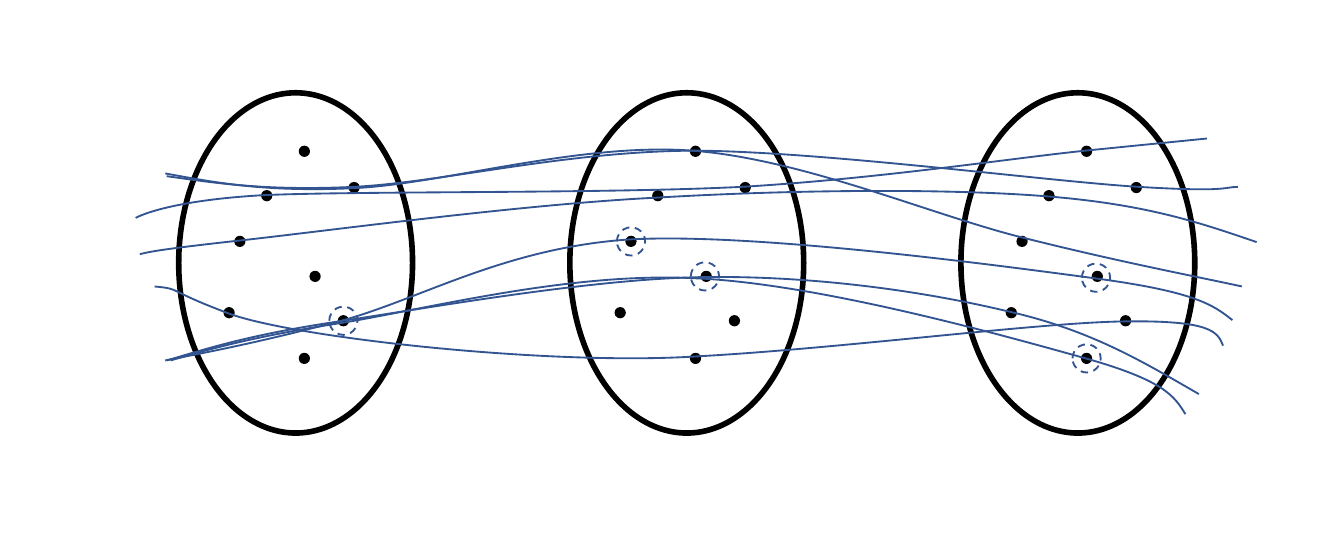
"""Draw three point sets joined by smooth trajectories, some points circled."""
from dataclasses import dataclass
from typing import Optional

from lxml.etree import SubElement
from pptx import Presentation
from pptx.dml.color import RGBColor
from pptx.enum.dml import MSO_LINE_DASH_STYLE as Dash
from pptx.enum.shapes import MSO_AUTO_SHAPE_TYPE as ShapeType
from pptx.oxml.ns import qn
from pptx.shapes.shapetree import GroupShapes
from pptx.util import Inches, Pt

BLACK = RGBColor(0x00, 0x00, 0x00)
WHITE = RGBColor(0xFF, 0xFF, 0xFF)
BLUE = RGBColor(0x32, 0x54, 0x91)

Point = tuple[float, float]


@dataclass(frozen=True)
class EllipseStyle:
    width: float
    height: float
    line: RGBColor
    weight: float
    fill: Optional[RGBColor] = None
    dash: Optional[Dash] = None


@dataclass(frozen=True)
class Trajectory:
    start: Point
    bezier_points: list[Point]


SET_OUTLINE = EllipseStyle(1.74, 2.53, BLACK, 3, WHITE)
DOT = EllipseStyle(0.07, 0.07, BLACK, 1, BLACK)
MARKER = EllipseStyle(0.21, 0.21, BLUE, 1, dash=Dash.DASH)

SET_COUNT = 3
SET_STEP = 2.91
SET_LEFT, SET_TOP = 1.33, 0.69
DOT_OFFSETS = [(0.62, 0.73), (0.42, 1.07), (0.9, 0.4), (1.27, 0.67),
               (0.98, 1.33), (1.19, 1.66), (0.9, 1.94), (0.34, 1.6)]
MARKERS = [(5.14, 1.95), (2.45, 2.28), (4.59, 1.69), (8.05, 1.96), (7.98, 2.56)]

TRAJECTORIES = [
    Trajectory((8.98, 1.03), [(8.68, 1.06), (8.38, 1.09), (8.08, 1.12),
                              (7.5, 1.18), (6.53, 1.33), (5.51, 1.39),
                              (4.49, 1.44), (2.73, 1.42), (1.98, 1.45),
                              (1.23, 1.49), (1.01, 1.62), (1.01, 1.62)]),
    Trajectory((9.35, 1.8), [(8.94, 1.66), (8.54, 1.52), (7.79, 1.46),
                             (7.05, 1.4), (5.89, 1.41), (4.88, 1.47),
                             (3.88, 1.52), (2.41, 1.72), (1.77, 1.79),
                             (1.13, 1.86), (1.08, 1.88), (1.04, 1.89)]),
    Trajectory((9.21, 1.39), [(9.1, 1.39), (9.15, 1.43), (8.48, 1.39),
                              (7.81, 1.35), (6.16, 1.13), (5.19, 1.12),
                              (4.21, 1.12), (3.28, 1.36), (2.62, 1.39),
                              (1.97, 1.42), (1.6, 1.36), (1.24, 1.31)]),
    Trajectory((9.24, 2.13), [(8.77, 2.03), (8.3, 1.94), (7.62, 1.77),
                              (6.93, 1.6), (5.97, 1.18), (5.14, 1.12),
                              (4.31, 1.06), (3.29, 1.37), (2.63, 1.4),
                              (1.98, 1.43), (1.61, 1.36), (1.23, 1.29)]),
    Trajectory((9.17, 2.38), [(9.03, 2.27), (8.9, 2.17), (8.15, 2.07),
                              (7.4, 1.97), (5.62, 1.73), (4.69, 1.78),
                              (3.75, 1.84), (3.1, 2.24), (2.52, 2.39),
                              (1.95, 2.54), (1.59, 2.61), (1.23, 2.68)]),
    Trajectory((8.92, 2.93), [(8.52, 2.7), (8.13, 2.46), (7.52, 2.32),
                              (6.9, 2.17), (6.08, 2.05), (5.25, 2.06),
                              (4.41, 2.07), (3.19, 2.29), (2.52, 2.39),
                              (1.85, 2.49), (1.55, 2.59), (1.24, 2.68)]),
    Trajectory((8.82, 3.08), [(8.74, 2.95), (8.67, 2.83), (8.06, 2.66),
                              (7.45, 2.49), (6.09, 2.11), (5.18, 2.07),
                              (4.26, 2.02), (3.21, 2.29), (2.55, 2.4),
                              (1.9, 2.5), (1.58, 2.59), (1.27, 2.68)]),
    Trajectory((9.1, 2.57), [(9.06, 2.47), (9.02, 2.38), (8.36, 2.39),
                             (7.71, 2.4), (6.28, 2.59), (5.18, 2.65),
                             (4.08, 2.72), (2.18, 2.51), (1.7, 2.33),
                             (1.22, 2.15), (1.36, 2.15), (1.15, 2.13)]),
]


def add_ellipse(shapes: GroupShapes, left: float, top: float, style: EllipseStyle) -> None:
    shape = shapes.add_shape(ShapeType.OVAL, Inches(left), Inches(top),
                             Inches(style.width), Inches(style.height))
    shape.shadow.inherit = False
    if style.fill is None:
        shape.fill.background()
    else:
        shape.fill.solid()
        shape.fill.fore_color.rgb = style.fill
    shape.line.color.rgb = style.line
    shape.line.width = Pt(style.weight)
    if style.dash is not None:
        shape.line.dash_style = style.dash


def add_trajectory(shapes: GroupShapes, trajectory: Trajectory) -> None:
    start_x, start_y = trajectory.start
    builder = shapes.build_freeform(Inches(start_x), Inches(start_y))
    builder.add_line_segments([(Inches(x), Inches(y)) for x, y in trajectory.bezier_points],
                              close=False)
    shape = builder.convert_to_shape()
    shape.shadow.inherit = False
    shape.fill.background()
    shape.line.color.rgb = BLUE
    shape.line.width = Pt(1)

    outline = shape.element.find(".//" + qn("a:path"))
    segments = outline.findall(qn("a:lnTo"))
    for first in range(0, len(segments), 3):
        curve = SubElement(outline, qn("a:cubicBezTo"))
        for segment in segments[first:first + 3]:
            curve.append(segment[0])
            outline.remove(segment)


def main() -> None:
    presentation = Presentation()
    presentation.slide_width = Inches(10)
    presentation.slide_height = Inches(4)
    slide = presentation.slides.add_slide(presentation.slide_layouts[6])
    shapes = slide.shapes.add_group_shape().shapes

    for index in range(SET_COUNT):
        left = SET_LEFT + index * SET_STEP
        add_ellipse(shapes, left, SET_TOP, SET_OUTLINE)
        for dx, dy in DOT_OFFSETS:
            add_ellipse(shapes, left + dx, SET_TOP + dy, DOT)
    for trajectory in TRAJECTORIES:
        add_trajectory(shapes, trajectory)
    for left, top in MARKERS:
        add_ellipse(shapes, left, top, MARKER)

    presentation.save("out.pptx")


if __name__ == "__main__":
    main()
